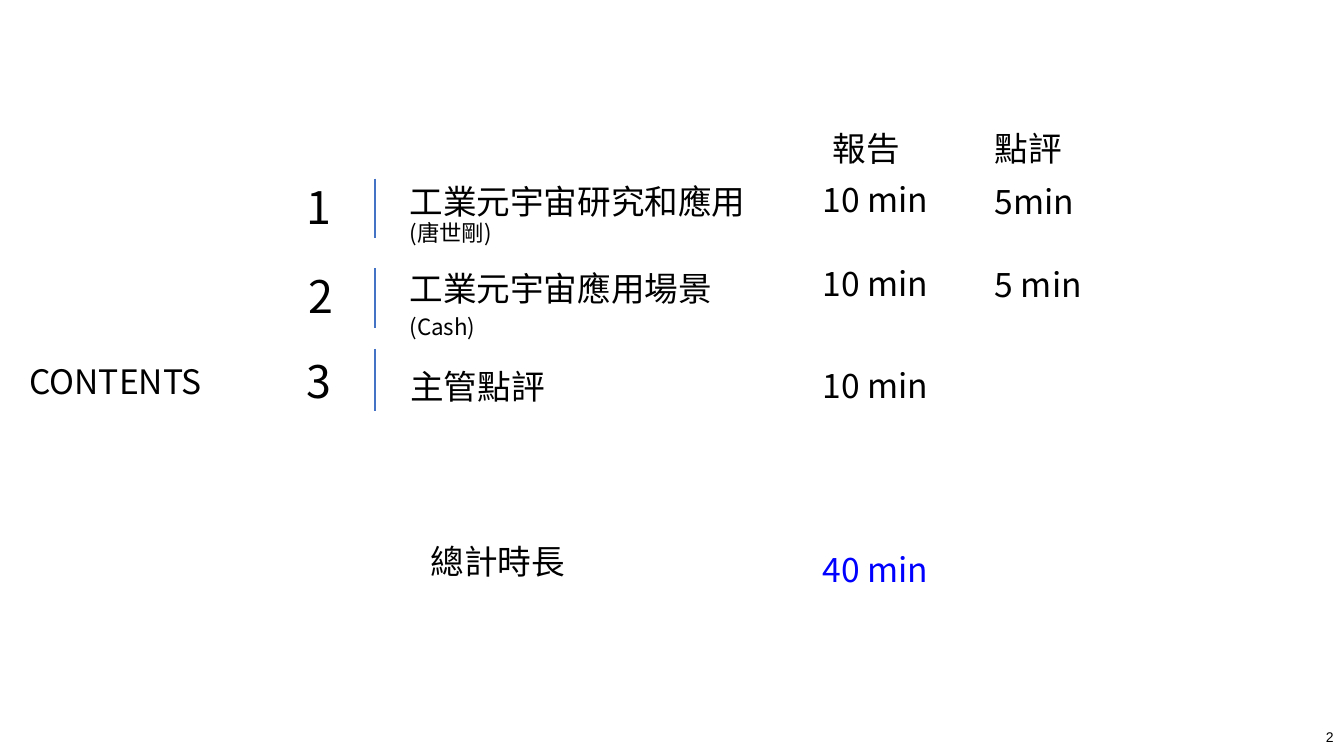
from dataclasses import dataclass

from lxml import etree
from pptx import Presentation
from pptx import util as u
from pptx.dml.color import RGBColor
from pptx.enum import shapes, text
from pptx.oxml.ns import qn


@dataclass(frozen=True)
class Theme:
    font: str = "Noto Sans CJK SC"
    page_font: str = "Arial"
    ink: str = "000000"
    total: str = "0000FF"
    rule: str = "4472C4"
    number_size: int = 32
    body_size: int = 24
    presenter_size: int = 16
    page_size: int = 10


class AgendaSlide:
    def __init__(self, presentation, theme):
        self.theme = theme
        self.slide = presentation.slides.add_slide(presentation.slide_layouts[6])

    def label(self, words, left, top, width, height=1.27, size=None, color=None,
              align=text.PP_ALIGN.LEFT, font=None, indent=0, margin=0.13):
        box = self.slide.shapes.add_textbox(*map(u.Cm, (left, top, width, height)))
        frame = box.text_frame
        frame.word_wrap = True
        frame.margin_left = frame.margin_right = u.Cm(margin)
        frame.margin_top = frame.margin_bottom = u.Cm(0.13)
        paragraph = frame.paragraphs[0]
        paragraph.alignment = align
        if indent:
            paragraph.level = 1
            paragraph.space_after = u.Pt(12)
            properties = paragraph._p.get_or_add_pPr()
            properties.set("marL", str(u.Cm(indent)))
            properties.set("indent", "0")
        run = paragraph.add_run()
        run.text = words
        run.font.size = u.Pt(size or self.theme.body_size)
        run.font.color.rgb = RGBColor.from_string(color or self.theme.ink)
        run.font.name = font or self.theme.font
        # Chinese characters take the East Asian typeface
        east_asian = etree.SubElement(run.font._element, qn("a:ea"))
        east_asian.set("typeface", run.font.name)

    def number(self, words, left, top):
        self.label(words, left, top, 1.6, 1.63, self.theme.number_size,
                   align=text.PP_ALIGN.CENTER)

    def rule(self, left, top, length):
        line = self.slide.shapes.add_connector(
            shapes.MSO_CONNECTOR.STRAIGHT,
            *map(u.Cm, (left, top, left, top + length)))
        line.line.color.rgb = RGBColor.from_string(self.theme.rule)
        line.line.width = u.Pt(2)
        etree.SubElement(line._element.spPr, qn("a:effectLst"))


def main():
    presentation = Presentation()
    presentation.slide_width, presentation.slide_height = u.Cm(33.87), u.Cm(19.05)
    theme = Theme()
    agenda = AgendaSlide(presentation, theme)
    report_left, review_left, topic_left, rule_left = 20.6, 24.94, 10.19, 9.45

    # Side heading and column headings
    agenda.label("CONTENTS", 0.61, 8.97, 6.53, align=text.PP_ALIGN.JUSTIFY)
    for heading, left in (("報告", 20.85), ("點評", review_left)):
        agenda.label(heading, left, 3.1, 2.57)

    # Numbers and rules: left, top, rule top, rule length
    marks = [(7.24, 4.39, 4.5, 1.5), (7.29, 6.63, 6.76, 1.5), (7.24, 8.79, 8.79, 1.57)]
    for number, (left, top, rule_top, length) in enumerate(marks, 1):
        agenda.number(str(number), left, top)
        agenda.rule(rule_left, rule_top, length)

    # Presented topics: top, presenter top, report top, review time
    topics = [("工業元宇宙研究和應用", "(唐世剛)", 4.42, 5.38, 4.39, "5min"),
              ("工業元宇宙應用場景", "(Cash)", 6.63, 7.77, 6.5, "5 min")]
    for topic, presenter, top, presenter_top, report_top, review in topics:
        agenda.label(topic, topic_left, top, 13.79)
        agenda.label(presenter, topic_left, presenter_top, 13.79, 0.94,
                     theme.presenter_size)
        agenda.label("10 min", report_left, report_top, 3.23)
        agenda.label(review, review_left, report_top + 0.03, 3.1)

    # Closing review and total time
    agenda.label("主管點評", 8.94, 9.09, 9.14, indent=1.27)
    agenda.label("10 min", report_left, 9.07, 3.58)
    agenda.label("總計時長", rule_left, 13.51, 5.28, indent=1.27)
    agenda.label("40 min", report_left, 13.69, 3.58, color=theme.total)

    # Page number
    agenda.label("2", 31.52, 18.24, 2.34, 0.76, theme.page_size,
                 align=text.PP_ALIGN.RIGHT, font=theme.page_font, margin=0.25)

    presentation.save("out.pptx")


if __name__ == "__main__":
    main()
